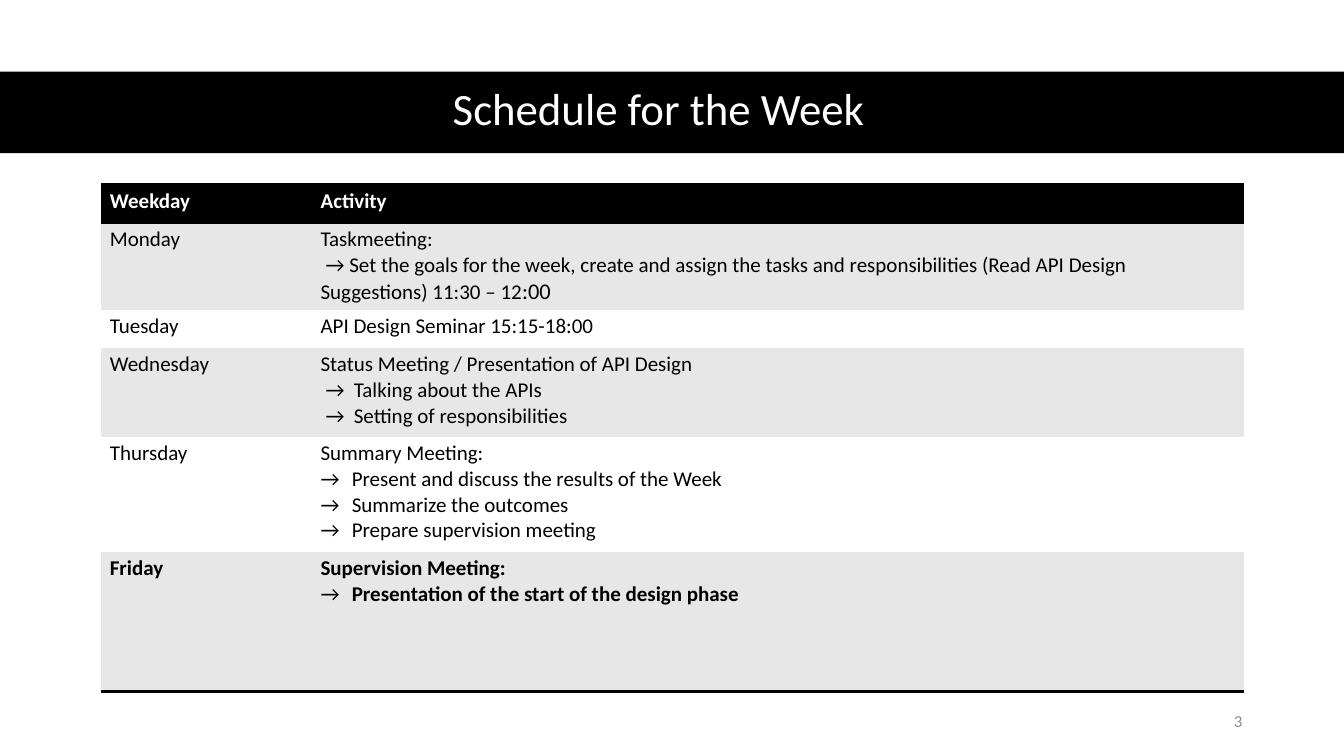
from lxml import etree
from pptx import Presentation, util as u
from pptx.dml.color import RGBColor
from pptx.enum import shapes, text
from pptx.oxml import ns

BLACK, WHITE, GREY, MUTED = "000000", "FFFFFF", "E7E7E7", "8C8C8C"
NO_STYLE = "{2D5ABB26-0587-4C30-8999-92F81FD0307C}"
CENTER, RIGHT = text.PP_ALIGN.CENTER, text.PP_ALIGN.RIGHT
MIDDLE = text.MSO_ANCHOR.MIDDLE


def px(length):
    return u.Emu(length * 9144)


def color(value):
    return RGBColor.from_string(value)


def apply(target, formats):
    for name, value in formats.items():
        setattr(target, name, value)


class WeekSlide:
    font = "Calibri"

    def __init__(self, deck):
        self.slide = deck.slides.add_slide(deck.slide_layouts[5])

    def run(self, paragraph, words, size, ink, bold=False):
        run = paragraph.add_run()
        run.text = words
        apply(run.font, {"name": self.font, "size": u.Pt(size), "bold": bold})
        run.font.color.rgb = color(ink)

    def band(self, left, top, width, height):
        band = self.slide.shapes.add_shape(
            shapes.MSO_SHAPE.RECTANGLE, *map(px, (left, top, width, height)))
        band.shadow.inherit = False
        band.fill.solid()
        band.fill.fore_color.rgb = color(BLACK)
        band.line.fill.background()
        self.slide.shapes._spTree.insert(2, band._element)

    def line_of_text(self, box, words, size, ink, formats):
        apply(box.text_frame, {"word_wrap": True, "vertical_anchor": MIDDLE,
                               "auto_size": text.MSO_AUTO_SIZE.NONE})
        paragraph = box.text_frame.paragraphs[0]
        apply(paragraph, formats)
        self.run(paragraph, words, size, ink)

    def title(self, left, top, width, height, words):
        title = self.slide.shapes.title
        apply(title, {"left": px(left), "top": px(top),
                      "width": px(width), "height": px(height)})
        self.line_of_text(title, words, 32, WHITE,
                          {"alignment": CENTER, "line_spacing": 0.9})

    def page_number(self, left, top, width, height, words):
        box = self.slide.shapes.add_textbox(*map(px, (left, top, width, height)))
        self.line_of_text(box, words, 12, MUTED,
                          {"alignment": RIGHT, "space_after": u.Pt(6)})

    def indent(self, paragraph, margin, first, bullet):
        properties = paragraph._p.get_or_add_pPr()
        properties.set("marL", str(px(margin)))
        properties.set("indent", str(px(first)))
        if bullet:
            etree.SubElement(properties, ns.qn("a:buFont"), typeface=self.font)
            etree.SubElement(properties, ns.qn("a:buChar"), char=bullet)

    def border(self, cell, side):
        line = etree.Element(ns.qn("a:ln" + side), w=str(u.Pt(2)))
        fill = etree.SubElement(line, ns.qn("a:solidFill"))
        etree.SubElement(fill, ns.qn("a:srgbClr"), val=BLACK)
        cell._tc.get_or_add_tcPr().insert(0, line)

    def cell(self, cell, paragraphs, fill, ink, bold, sides):
        apply(cell, {"margin_left": px(9), "margin_right": px(9),
                     "margin_top": px(4), "margin_bottom": px(4)})
        cell.fill.solid()
        cell.fill.fore_color.rgb = color(fill)
        for side in sides:
            self.border(cell, side)
        for index, (runs, indent) in enumerate(paragraphs):
            frame = cell.text_frame
            paragraph = frame.add_paragraph() if index else frame.paragraphs[0]
            if indent:
                self.indent(paragraph, *indent)
            for words, size in runs:
                self.run(paragraph, words, size, ink, bold)

    def table(self, left, top, widths, heights, rows):
        table = self.slide.shapes.add_table(
            len(rows), len(widths), px(left), px(top),
            px(sum(widths)), px(sum(heights))).table
        apply(table, {"first_row": True, "horz_banding": False})
        table._tbl.tblPr[0].text = NO_STYLE
        for column, width in zip(table.columns, widths):
            column.width = px(width)
        last = len(rows) - 1
        for index, (height, row) in enumerate(zip(heights, rows)):
            table.rows[index].height = px(height)
            fill = GREY if index % 2 else WHITE
            ink, sides = BLACK, ""
            if index == 0:
                fill, ink, sides = BLACK, WHITE, "BT"
            elif index == last:
                sides = "B"
            for number, paragraphs in enumerate(row):
                self.cell(table.cell(index, number), paragraphs, fill, ink,
                          index in (0, last), sides)


def plain(words, indent=None):
    return [(words, 15)], indent


def step(words):
    return plain(words, (31, -31, "→"))


def inset_step(words):
    return plain(words, (33, -28, "→"))


def main():
    goals = ([("→ Set the goals for the week, create and assign the tasks and "
               "responsibilities (Read API Design Suggestions) 11:30 – 12", 15),
              (":00", 16)], (0, 5, None))
    schedule = [
        ("Weekday", [plain("Activity")]),
        ("Monday", [plain("Taskmeeting:"), goals]),
        ("Tuesday", [plain("API Design Seminar 15:15-18:00")]),
        ("Wednesday", [plain("Status Meeting / Presentation of API Design"),
                       inset_step("Talking about the APIs"),
                       inset_step("Setting of responsibilities")]),
        ("Thursday", [plain("Summary Meeting:"),
                      step("Present and discuss the results of the Week"),
                      step("Summarize the outcomes"),
                      step("Prepare supervision meeting")]),
        ("Friday", [plain("Supervision Meeting:"),
                    step("Presentation of the start of the design phase")]),
    ]
    deck = Presentation()
    apply(deck, {"slide_width": px(1333), "slide_height": px(750)})
    week = WeekSlide(deck)
    week.band(0, 71, 1333, 81)
    week.title(61, 70, 1226, 81, "Schedule for the Week\t")
    week.page_number(942, 695, 300, 40, "3")
    week.table(100, 183, (209, 925), (38, 63, 38, 88, 114, 139),
               [([plain(day)], activity) for day, activity in schedule])
    deck.save("out.pptx")


if __name__ == "__main__":
    main()
